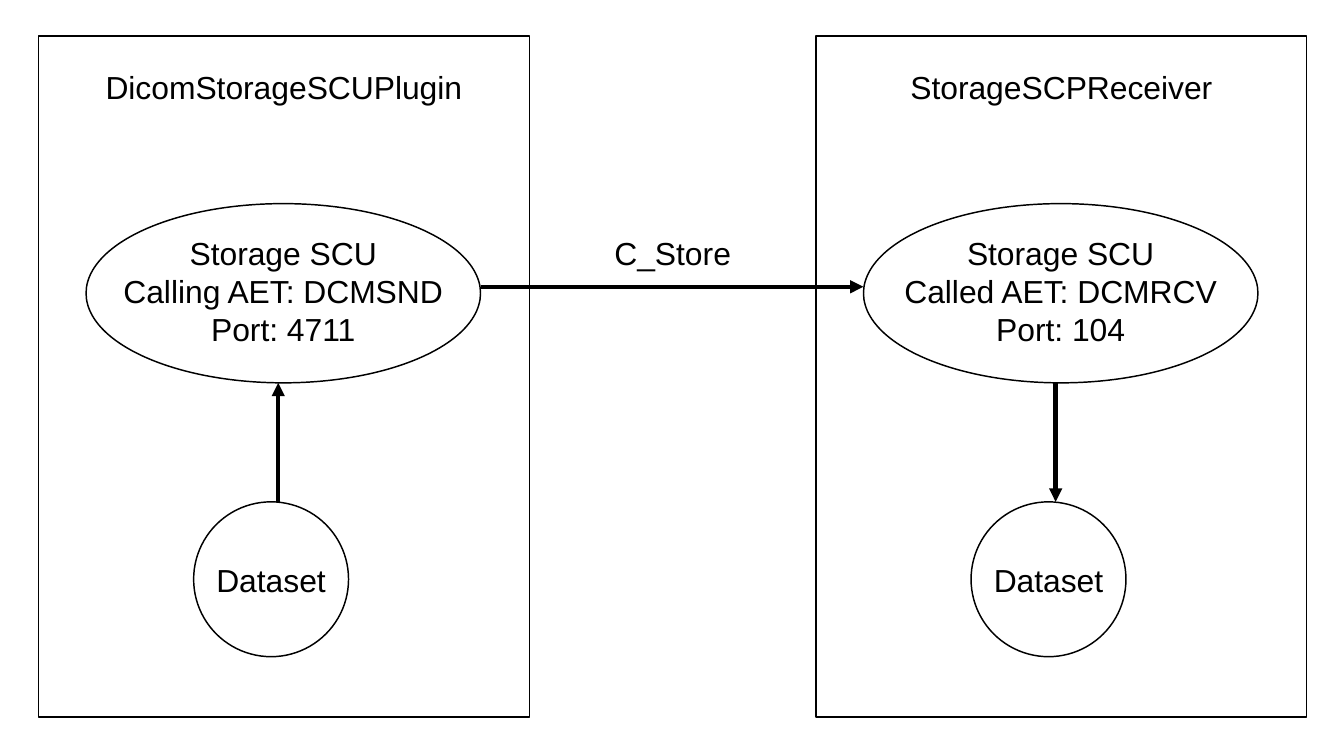
from dataclasses import dataclass

from pptx import Presentation
from pptx.dml.color import RGBColor
from pptx.enum.shapes import MSO_CONNECTOR, MSO_SHAPE
from pptx.enum.text import MSO_ANCHOR, PP_ALIGN
from pptx.oxml.ns import qn
from pptx.util import Inches, Pt
from lxml import etree

RECTANGLE, OVAL = MSO_SHAPE.RECTANGLE, MSO_SHAPE.OVAL
STRAIGHT = MSO_CONNECTOR.STRAIGHT
CENTER, TOP = PP_ALIGN.CENTER, MSO_ANCHOR.TOP


@dataclass(frozen=True)
class Theme:
    ink: RGBColor = RGBColor(0x00, 0x00, 0x00)
    font: str = "Arial"
    text_size: float = 16
    outline_width: float = 0.75
    arrow_width: float = 2.25


class Diagram:
    """Draws diagram elements on one slide in one style."""

    def __init__(self, slide, theme):
        self.shapes = slide.shapes
        self.theme = theme

    def outline(self, kind, left, top, width, height):
        shape = self.shapes.add_shape(
            kind, Inches(left), Inches(top), Inches(width), Inches(height))
        shape.shadow.inherit = False
        shape.fill.background()
        shape.line.color.rgb = self.theme.ink
        shape.line.width = Pt(self.theme.outline_width)

    def label(self, lines, left, top, width, height=0.37):
        box = self.shapes.add_textbox(
            Inches(left), Inches(top), Inches(width), Inches(height))
        frame = box.text_frame
        frame.word_wrap = True
        frame.vertical_anchor = TOP
        paragraph = frame.paragraphs[0]
        paragraph.alignment = CENTER
        for index, line in enumerate(lines):
            if index:
                paragraph.add_line_break()
            run = paragraph.add_run()
            run.text = line
            run.font.name = self.theme.font
            run.font.size = Pt(self.theme.text_size)
            run.font.color.rgb = self.theme.ink

    def arrow(self, start, end):
        connector = self.shapes.add_connector(
            STRAIGHT, *(Inches(value) for value in (*start, *end)))
        connector.line.color.rgb = self.theme.ink
        connector.line.width = Pt(self.theme.arrow_width)
        # Arrowhead at the end, and no shadow
        properties = connector._element.spPr
        line = properties.find(qn("a:ln"))
        etree.SubElement(line, qn("a:tailEnd"), type="triangle")
        etree.SubElement(properties, qn("a:effectLst"))


# Vertical positions shared by both systems
NODE_TOP, NODE_WIDTH, NODE_HEIGHT = 1.42, 2.75, 1.25
DATASET_TOP, DATASET_SIZE = 3.5, 1.08
NODE_BOTTOM = NODE_TOP + NODE_HEIGHT
NODE_INSET = 0.33
STORE_LEVEL = 2


def draw_system(diagram, left, title, node_lines, sends):
    # Frame, node and title
    node_left = left + NODE_INSET
    diagram.outline(RECTANGLE, left, 0.25, 3.42, 4.75)
    diagram.outline(OVAL, node_left, NODE_TOP, NODE_WIDTH, NODE_HEIGHT)
    diagram.label([title], left + 0.25, 0.42, 2.92)
    diagram.label(node_lines, node_left, 1.58, NODE_WIDTH, 0.9)

    # Dataset
    dataset_left = left + 1.08
    diagram.outline(OVAL, dataset_left, DATASET_TOP, DATASET_SIZE, DATASET_SIZE)
    diagram.label(["Dataset"], dataset_left, 3.86, DATASET_SIZE)

    # The sender reads its dataset, the receiver writes it
    arrow_x = left + 1.67
    ends = [(arrow_x, DATASET_TOP), (arrow_x, NODE_BOTTOM)]
    diagram.arrow(*(ends if sends else reversed(ends)))


def main():
    presentation = Presentation()
    presentation.slide_width = Inches(9.37)
    presentation.slide_height = Inches(5.21)
    slide = presentation.slides.add_slide(presentation.slide_layouts[6])
    diagram = Diagram(slide, Theme())

    # Sending and receiving systems
    sender_left, receiver_left = 0.27, 5.69
    draw_system(diagram, sender_left, "DicomStorageSCUPlugin",
                ["Storage SCU", "Calling AET: DCMSND", "Port: 4711"], True)
    draw_system(diagram, receiver_left, "StorageSCPReceiver",
                ["Storage SCU", "Called AET: DCMRCV", "Port: 104"], False)

    # Transfer between the two nodes
    diagram.arrow((sender_left + NODE_INSET + NODE_WIDTH, STORE_LEVEL),
                  (receiver_left + NODE_INSET, STORE_LEVEL))
    diagram.label(["C_Store"], 3.73, 1.58, 1.92)

    presentation.save("out.pptx")


if __name__ == "__main__":
    main()
